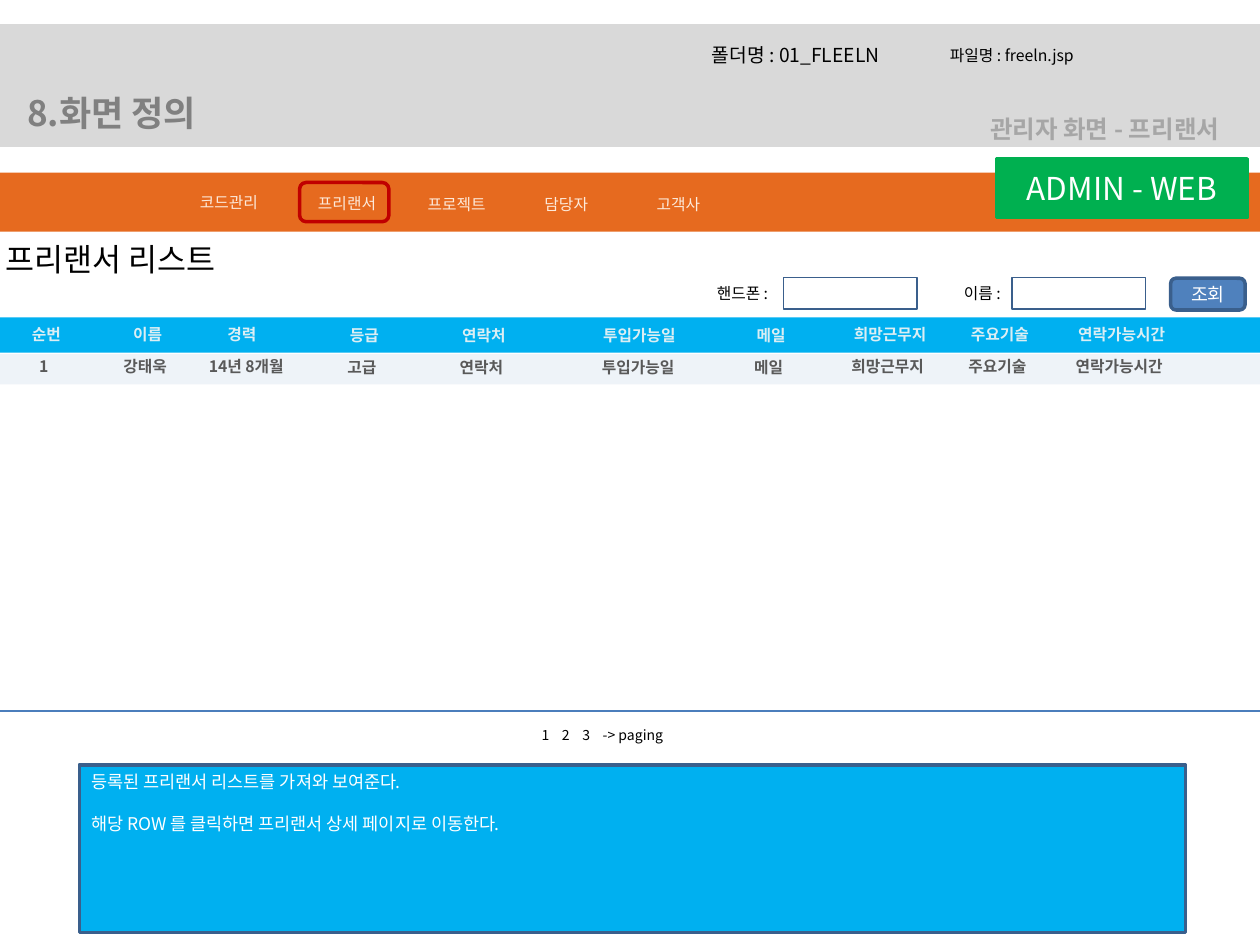
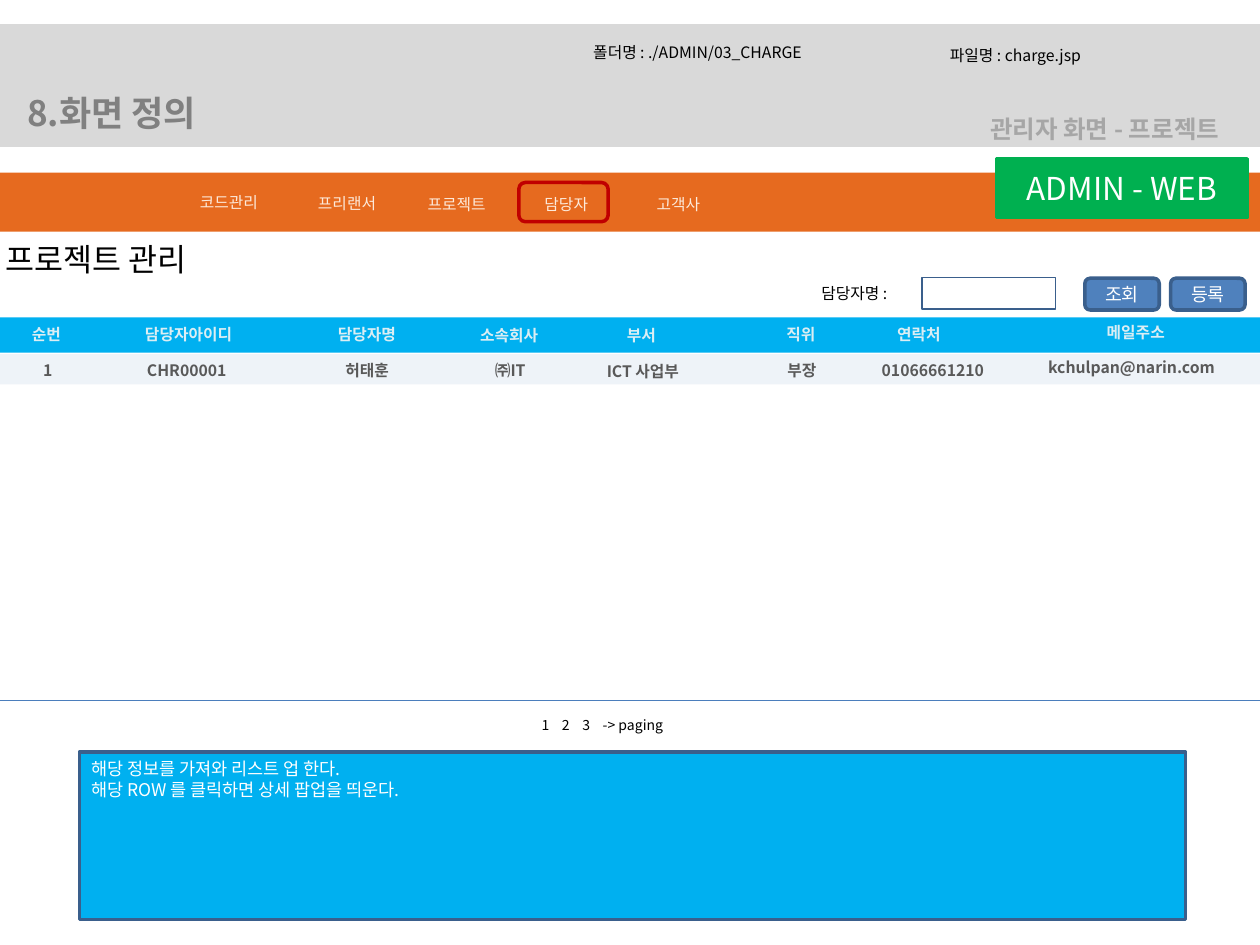
from dataclasses import dataclass

from lxml import etree
from pptx import Presentation
from pptx.dml.color import RGBColor
from pptx.enum.shapes import MSO_CONNECTOR, MSO_SHAPE
from pptx.enum.text import MSO_ANCHOR, MSO_AUTO_SIZE, PP_ALIGN
from pptx.oxml.ns import qn
from pptx.util import Cm, Pt

RECT, ROUNDED = MSO_SHAPE.RECTANGLE, MSO_SHAPE.ROUNDED_RECTANGLE


@dataclass(frozen=True)
class Theme:
    font: str = "Noto Sans CJK KR"
    black: str = "000000"
    white: str = "FFFFFF"
    banner: str = "D9D9D9"
    banner_title: str = "808080"
    banner_section: str = "A6A6A6"
    menu: str = "E66A1F"
    menu_text: str = "FDEADA"
    highlight: str = "C00000"
    badge: str = "00B050"
    cyan: str = "00B0F0"
    header_text: str = "DBEEF4"
    row: str = "EEF3F8"
    row_text: str = "595959"
    button: str = "4F81BD"
    outline: str = "3A5F8C"
    rule: str = "4B7EBC"
    title_size: float = 20
    heading_size: float = 18
    section_size: float = 14
    folder_size: float = 11
    button_size: float = 10.5
    note_size: float = 10
    body_size: float = 9
    paging_size: float = 8
    thick: float = 2
    thin: float = 0.75


THEME = Theme()
MENU = {"코드관리": (3.51, 3.76), "프리랜서": (5.89, 3.78), "프로젝트": (8.1, 3.81),
        "담당자": (10.31, 3.81), "고객사": (12.57, 3.81)}
LINE_HEIGHT = 0.64


def write(frame, text, *, size=THEME.body_size, color=THEME.black, bold=False,
          align=PP_ALIGN.LEFT, anchor=MSO_ANCHOR.TOP, gap=0, tab_step=None):
    """Fill a frame, one paragraph per line, with gap points between them."""
    frame.word_wrap = True
    frame.vertical_anchor = anchor
    for index, line in enumerate(text.split("\n")):
        paragraph = frame.add_paragraph() if index else frame.paragraphs[0]
        paragraph.alignment = align
        if index and gap:
            paragraph.space_before = Pt(gap)
        if tab_step:
            stops = etree.SubElement(paragraph._p.get_or_add_pPr(), qn("a:tabLst"))
            for stop in range(1, line.count("\t") + 1):
                etree.SubElement(stops, qn("a:tab"), pos=str(Cm(tab_step * stop)), algn="l")
        run = paragraph.add_run()
        run.text = line
        font = run.font
        font.size, font.bold, font.name = Pt(size), bold, THEME.font
        font.color.rgb = RGBColor.from_string(color)
        east_asian = etree.Element(qn("a:ea"), typeface=THEME.font)
        font._element.find(qn("a:latin")).addnext(east_asian)


class ScreenDeck:
    def __init__(self, theme):
        self.theme = theme
        self.deck = Presentation()
        self.deck.slide_width, self.deck.slide_height = Cm(25.4), Cm(19.05)
        self.slide = None

    def new_slide(self):
        self.slide = self.deck.slides.add_slide(self.deck.slide_layouts[6])

    def label(self, text, left, top, width, height=LINE_HEIGHT, **style):
        box = self.slide.shapes.add_textbox(Cm(left), Cm(top), Cm(width), Cm(height))
        write(box.text_frame, text, **style)
        box.text_frame.auto_size = MSO_AUTO_SIZE.SHAPE_TO_FIT_TEXT

    def panel(self, left, top, width, height, *, kind=RECT, fill=None, line=None,
              weight=THEME.thick, text=None, **style):
        shape = self.slide.shapes.add_shape(kind, Cm(left), Cm(top), Cm(width), Cm(height))
        shape.shadow.inherit = False
        if fill:
            shape.fill.solid()
            shape.fill.fore_color.rgb = RGBColor.from_string(fill)
        else:
            shape.fill.background()
        if line:
            shape.line.color.rgb = RGBColor.from_string(line)
            shape.line.width = Pt(weight)
        else:
            shape.line.fill.background()
        if text:
            write(shape.text_frame, text, color=self.theme.white, **style)

    def rule(self, top):
        rule = self.slide.shapes.add_connector(
            MSO_CONNECTOR.STRAIGHT, Cm(0), Cm(top), self.deck.slide_width, Cm(top))
        rule.line.color.rgb = RGBColor.from_string(self.theme.rule)
        rule.line.width = Pt(self.theme.thin)
        etree.SubElement(rule._element.spPr, qn("a:effectLst"))

    def banner(self, section, folder, file_name):
        """Grey band; folder is (text, left, width, height, size)."""
        t = self.theme
        self.panel(0, 0.53, 25.4, 2.39, fill=t.banner, line=t.banner)
        self.label("8.화면 정의", 0.3, 1.73, 9.6, 1.12,
                   size=t.title_size, color=t.banner_title, bold=True)
        self.label(f"관리자 화면 - {section}", 19.71, 2.18, 6.71, 0.86,
                   size=t.section_size, color=t.banner_section, bold=True)
        folder_name, left, width, height, size = folder
        self.label(f"폴더명 : {folder_name}", left, 0.74, width, height, size=size)
        self.label(f"파일명 : {file_name}", 18.9, 0.79, 6.05)

    def menu(self, active):
        t = self.theme
        self.panel(-0.03, 3.48, 25.5, 1.19, fill=t.menu)
        for item, (left, top) in MENU.items():
            self.label(item, left, top, 2.21, color=t.menu_text, align=PP_ALIGN.CENTER)
        self.panel(MENU[active][0] + 0.15, 3.68, 1.8, 0.79, kind=ROUNDED, line=t.highlight)
        self.panel(20.09, 3.2, 5.05, 1.19, fill=t.badge, line=t.badge, text="ADMIN - WEB",
                   size=t.heading_size, align=PP_ALIGN.CENTER, anchor=MSO_ANCHOR.MIDDLE)

    def search(self, heading, fields, buttons):
        """Heading and search bar; fields are (label, label left, input left)."""
        t = self.theme
        self.label(heading, -0.13, 4.72, 8.41, 1.02, size=t.heading_size)
        for caption, caption_left, input_left in fields:
            self.label(f"{caption} :", caption_left, 5.59, 2.39)
            self.panel(input_left, 5.59, 2.69, LINE_HEIGHT, line=t.outline, weight=t.thin)
        for caption, left in buttons:
            self.panel(left, 5.61, 1.5, LINE_HEIGHT, kind=ROUNDED, fill=t.button,
                       line=t.outline, text=caption, size=t.button_size,
                       align=PP_ALIGN.CENTER, anchor=MSO_ANCHOR.MIDDLE)

    def listing(self, headers, values):
        """Header band and first row; cells are (text, left, top, width)."""
        t = self.theme
        self.panel(0, 6.4, 25.4, 0.71, fill=t.cyan)
        self.panel(-0.03, 7.14, 25.43, 0.61, fill=t.row)
        for cells, color in ((headers, t.header_text), (values, t.row_text)):
            for cell in cells:
                self.label(*cell, color=color, bold=True, align=PP_ALIGN.CENTER)

    def footer(self, rule_top, note_top, note, gap=0):
        t = self.theme
        self.rule(rule_top)
        self.label("1\t2\t3\t-> paging", 10.67, rule_top + 0.2, 4.37, 0.61,
                   size=t.paging_size, tab_step=0.41)
        self.panel(1.6, note_top, 22.3, 3.38, fill=t.cyan, line=t.outline,
                   text=note, size=t.note_size, gap=gap)


def freelancer_screen(deck):
    deck.new_slide()
    deck.banner("프리랜서", ("01_FLEELN", 14.1, 4.5, 0.74, THEME.folder_size), "freeln.jsp")
    deck.menu("프리랜서")
    deck.search("프리랜서 리스트", [("이름", 19.18, 20.4), ("핸드폰", 14.2, 15.8)],
                [("조회", 23.6)])
    headers = [
        ("순번", -0.03, 6.43, 1.93), ("이름", 2.01, 6.43, 1.93), ("경력", 3.91, 6.43, 1.93),
        ("등급", 6.38, 6.45, 1.93), ("연락처", 8.79, 6.45, 1.93),
        ("투입가능일", 11.58, 6.45, 2.62), ("메일", 14.58, 6.45, 1.93),
        ("희망근무지", 16.79, 6.43, 2.31), ("주요기술", 19, 6.43, 2.31),
        ("연락가능시간", 21.11, 6.43, 3),
    ]
    first_row = {"순번": "1", "이름": "강태욱", "경력": "14년 8개월", "등급": "고급"}
    wider = {"경력": 0.28, "투입가능일": 0.05}
    values = [(first_row.get(name, name), left - 0.05, top + 0.63, width + wider.get(name, 0))
              for name, left, top, width in headers]
    deck.listing(headers, values)
    deck.footer(14.33, 15.42, "등록된 프리랜서 리스트를 가져와 보여준다.\n"
                "해당 ROW 를 클릭하면 프리랜서 상세 페이지로 이동한다.", gap=12)


def charge_screen(deck):
    deck.new_slide()
    deck.banner("프로젝트", ("./ADMIN/03_CHARGE", 11.71, 6.88, LINE_HEIGHT, THEME.body_size),
                "charge.jsp")
    deck.menu("담당자")
    deck.search("프로젝트 관리", [("담당자명", 16.31, 18.59)],
                [("조회", 21.87), ("등록", 23.6)])
    deck.listing(
        [("순번", -0.03, 6.43, 1.93), ("담당자아이디", 2.29, 6.43, 3.02),
         ("담당자명", 6.1, 6.43, 2.59), ("소속회사", 9.3, 6.45, 1.93),
         ("부서", 10.77, 6.45, 4.32), ("직위", 14.99, 6.43, 2.31),
         ("연락처", 17.37, 6.43, 2.31), ("메일주소", 20.7, 6.38, 4.39)],
        [("1", 0, 7.14, 1.93), ("CHR00001", 2.01, 7.14, 3.51),
         ("허태훈", 5.51, 7.14, 3.78), ("㈜IT", 9.32, 7.14, 1.93),
         ("ICT 사업부", 10.8, 7.16, 4.32), ("부장", 15.01, 7.14, 2.31),
         ("01066661210", 17.32, 7.14, 2.97), ("kchulpan@narin.com", 20.5, 7.09, 4.62)])
    deck.footer(14.12, 15.16, "해당 정보를 가져와 리스트 업 한다.\n"
                "해당 ROW 를 클릭하면 상세 팝업을 띄운다.")


def main():
    screens = ScreenDeck(THEME)
    freelancer_screen(screens)
    charge_screen(screens)
    screens.deck.save("out.pptx")


if __name__ == "__main__":
    main()
